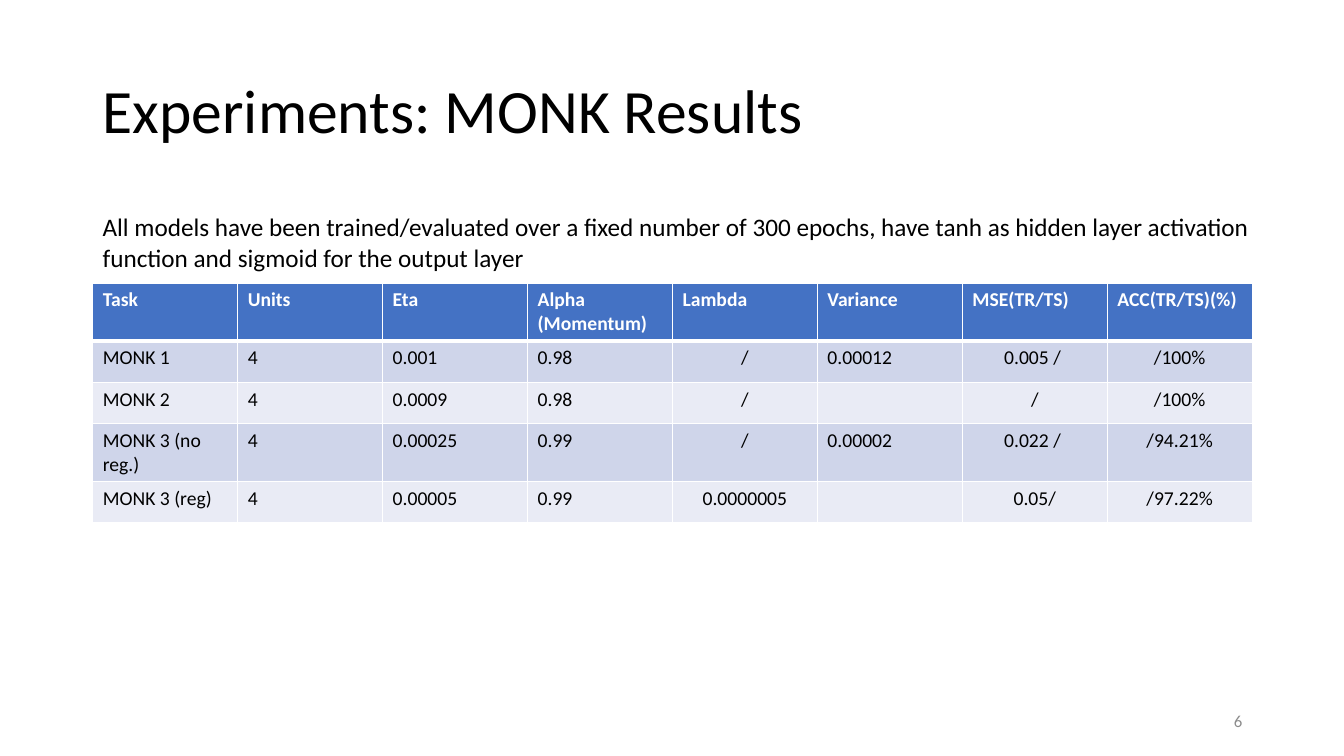
from lxml import etree
from pptx import Presentation
from pptx import util as u
from pptx.dml.color import RGBColor
from pptx.enum import text
from pptx.oxml import ns

BLACK = RGBColor(0x00, 0x00, 0x00)
WHITE = RGBColor(0xFF, 0xFF, 0xFF)
GREY = RGBColor(0x8C, 0x8C, 0x8C)
BLUE = RGBColor(0x44, 0x72, 0xC4)
BANDS = RGBColor(0xCF, 0xD5, 0xEA), RGBColor(0xE9, 0xEB, 0xF5)

WIDE, HIGH = 13.33, 7.5
EDGE = 0.92
COL = 11.5 / 8      # eight columns between the margins
ROW = HIGH / 150    # fine vertical grid

ALIGN = text.PP_ALIGN
ANCHOR = text.MSO_ANCHOR

HEADS = ["Task", "Units", "Eta", "Alpha (Momentum)", "Lambda",
         "Variance", "MSE(TR/TS)", "ACC(TR/TS)(%)"]
RUNS = [
    ["MONK 1", "4", "0.001", "0.98", "/", "0.00012", "0.005 / ", "/100%"],
    ["MONK 2", "4", "0.0009", "0.98", "/", "", "/", "/100%"],
    ["MONK 3 (no reg.)", "4", "0.00025", "0.99", "/", "0.00002",
     "0.022 / ", "/94.21%"],
    ["MONK 3 (reg)", "4", "0.00005", "0.99", "0.0000005", "",
     "0.05/", "/97.22%"],
]
MIDDLE = {4, 6, 7}  # columns with centred values


def write(frame, words, size=14, color=BLACK, bold=False,
          align=ALIGN.LEFT, anchor=ANCHOR.TOP, line=1.0, font="Calibri"):
    """Put one formatted paragraph into a text frame."""
    frame.word_wrap = True
    frame.vertical_anchor = anchor
    par = frame.paragraphs[0]
    par.alignment, par.line_spacing = align, line
    par.font.size = u.Pt(size)
    if words:
        run = par.add_run()
        run.text = words
        run.font.name, run.font.size = font, u.Pt(size)
        run.font.bold, run.font.color.rgb = bold, color


def border(cell, **widths):
    """Draw white cell edges, with widths in points by side."""
    props = cell._tc.get_or_add_tcPr()
    for side in "LRTB":
        line = etree.SubElement(props, ns.qn(f"a:ln{side}"),
                                w=str(u.Pt(widths.get(side, 1))))
        fill = etree.SubElement(line, ns.qn("a:solidFill"))
        etree.SubElement(fill, ns.qn("a:srgbClr"), val=str(WHITE))


class Deck:
    def __init__(self):
        self.prs = Presentation()
        self.prs.slide_width = u.Inches(WIDE)
        self.prs.slide_height = u.Inches(HIGH)
        self.slide = self.prs.slides.add_slide(self.prs.slide_layouts[5])

    def box(self, col, row, cols, rows):
        """Turn a grid area into left, top, width and height."""
        return [u.Inches(n) for n in
                (EDGE + col * COL, row * ROW, cols * COL, rows * ROW)]

    def title(self, words, *area):
        shape = self.slide.shapes.title
        shape.left, shape.top, shape.width, shape.height = self.box(*area)
        shape.text_frame.auto_size = text.MSO_AUTO_SIZE.NONE
        write(shape.text_frame, words, size=44, anchor=ANCHOR.MIDDLE, line=0.9)

    def label(self, words, *area, **style):
        shape = self.slide.shapes.add_textbox(*self.box(*area))
        write(shape.text_frame, words, **style)

    def table(self, heads, runs, *area):
        grid = self.slide.shapes.add_table(
            len(runs) + 1, len(heads), *self.box(*area)).table
        for row in grid.rows:
            row.height = u.Inches(0.41)
        for r, line in enumerate([heads] + runs):
            for c, words in enumerate(line):
                cell, head = grid.cell(r, c), r == 0
                border(cell, T=3 if r == 1 else 1, B=3 if head else 1)
                cell.fill.solid()
                cell.fill.fore_color.rgb = BLUE if head else BANDS[(r - 1) % 2]
                mid = not head and c in MIDDLE
                write(cell.text_frame, words, bold=head,
                      color=WHITE if head else BLACK,
                      align=ALIGN.CENTER if mid else ALIGN.LEFT)


def main():
    deck = Deck()

    # Heading
    deck.title("Experiments: MONK Results", 0, 8, 8, 29)

    # Results
    deck.table(HEADS, RUNS, 0, 56.2, 8, 41)

    # Page number
    deck.label("6", 5.91, 139, 2.09, 8, size=12, color=GREY,
               align=ALIGN.RIGHT, anchor=ANCHOR.MIDDLE)

    # Training setup
    deck.label("All models have been trained/evaluated over a fixed number of "
               "300 epochs, have tanh as hidden layer activation function and "
               "sigmoid for the output layer", 0, 41, 8.51, 14.2, size=18)

    deck.prs.save("out.pptx")


if __name__ == "__main__":
    main()
